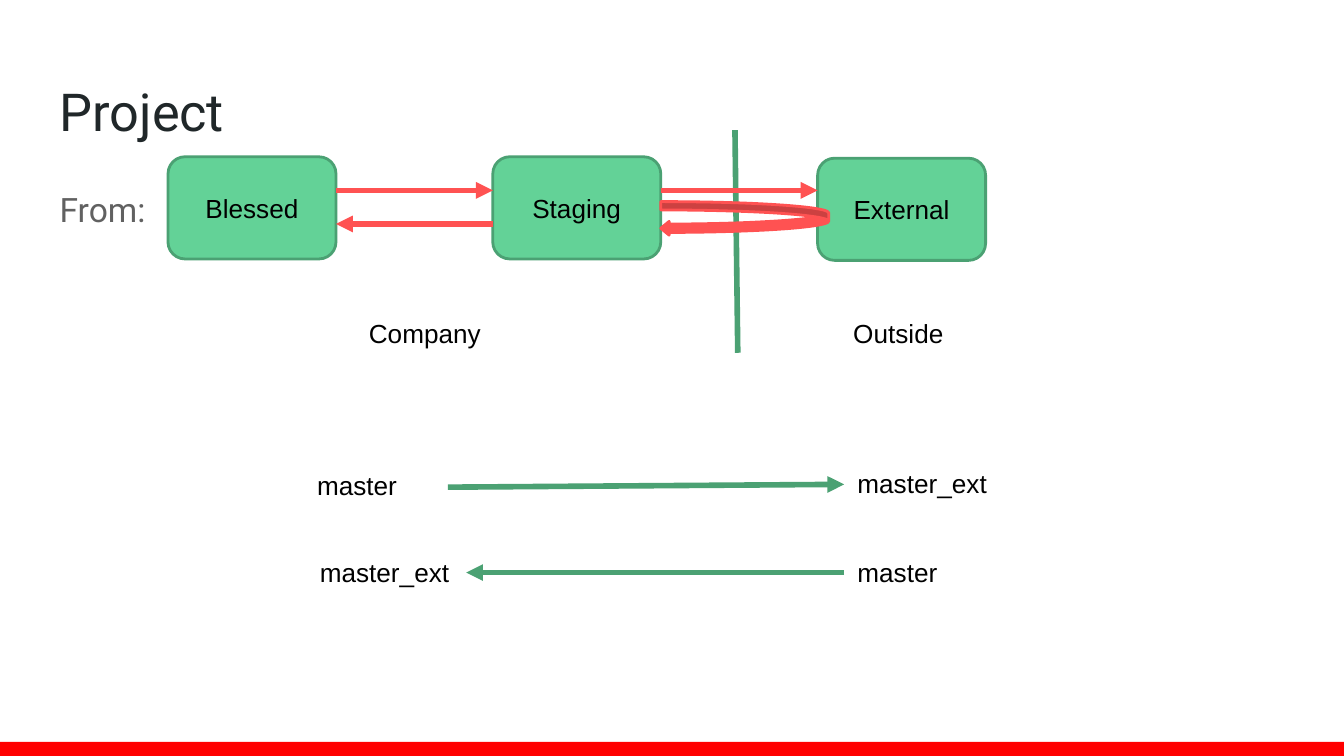
from pptx import Presentation
from pptx.dml.color import RGBColor
from pptx.enum.shapes import MSO_CONNECTOR as Link, MSO_SHAPE as Form
from pptx.enum.text import MSO_ANCHOR as Anchor, MSO_AUTO_SIZE as Fit, PP_ALIGN as Align
from pptx.oxml.ns import qn
from pptx.util import Emu, Pt
from lxml.etree import SubElement as Sub

GREEN, MINT, RED, BLACK = "4BA173", "63D297", "FF5252", "000000"
WIDE, HIGH = 960, 540
BOX_X, BOX_Y, BOX_W, BOX_H, STEP = 120, 112, 120, 73, 232


def px(size):
    return Emu(size * 9525)


def paint(target, code):
    target.rgb = RGBColor.from_string(code)


def write(frame, text, size=14, face="Arial", code=BLACK, align=Align.LEFT, anchor=Anchor.TOP):
    frame.word_wrap = True
    frame.auto_size = Fit.NONE
    frame.vertical_anchor = anchor
    frame.margin_left = frame.margin_right = Pt(7.2)
    frame.margin_top = frame.margin_bottom = Pt(7.2)
    para = frame.paragraphs[0]
    para.alignment = align
    para.space_before = Pt(0)
    run = para.add_run()
    run.text = text
    run.font.size = Pt(size)
    run.font.name = face
    paint(run.font.color, code)
    return para


def place(holder, x, y, w, h):
    holder.left, holder.top, holder.width, holder.height = map(px, (x, y, w, h))


def label(slide, x, y, w, text):
    box = slide.shapes.add_textbox(px(x), px(y), px(w), px(43))
    write(box.text_frame, text)


def block(slide, form, x, y, w, h, fill, edge=None):
    shape = slide.shapes.add_shape(form, px(x), px(y), px(w), px(h))
    shape.shadow.inherit = False
    shape.fill.solid()
    paint(shape.fill.fore_color, fill)
    if edge:
        paint(shape.line.color, edge)
        shape.line.width = Pt(1.5)
    else:
        shape.line.fill.background()
    return shape


def stroke(slide, start, end, code, head=True):
    line = slide.shapes.add_connector(Link.STRAIGHT, *map(px, start + end))
    paint(line.line.color, code)
    line.line.width = Pt(3)
    if head:
        Sub(line.line._get_or_add_ln(), qn("a:tailEnd"), type="triangle")
    Sub(line._element.spPr, qn("a:effectLst"))


def heads(slide):
    title, body = slide.placeholders
    place(title, 33, 47, 895, 60)
    write(title.text_frame, "Project", 28, "Roboto", "202729")
    place(body, 33, 121, 84, 54)
    props = body.text_frame.paragraphs[0]._p.get_or_add_pPr()
    props.set("marL", "0")
    props.set("indent", "0")
    Sub(props, qn("a:buNone"))
    para = write(body.text_frame, "From:", 18, "Roboto", "616161")
    para.line_spacing = 1.15
    para.space_after = Pt(16)


def main():
    deck = Presentation()
    deck.slide_width, deck.slide_height = px(WIDE), px(HIGH)
    slide = deck.slides.add_slide(deck.slide_layouts[1])
    heads(slide)
    block(slide, Form.RECTANGLE, 0, 530, WIDE, 10, "FF0000")
    stroke(slide, (525, 93), (527, 252), GREEN, head=False)

    for i, (name, drop) in enumerate((("Blessed", 0), ("Staging", 0), ("External", 1))):
        box = block(slide, Form.ROUNDED_RECTANGLE, BOX_X + i * STEP, BOX_Y + drop,
                    BOX_W, BOX_H, MINT, GREEN)
        write(box.text_frame, name, align=Align.CENTER, anchor=Anchor.MIDDLE)

    left = BOX_X + BOX_W
    for x in (left, left + STEP):
        stroke(slide, (x, 136), (BOX_X + STEP + x - left, 136), RED)
    curve = block(slide, Form.CURVED_LEFT_ARROW, left + STEP, 144, BOX_W, 24, RED, RED)
    for i, part in enumerate((0.25, 0.41, 0.25)):
        curve.adjustments[i] = part
    stroke(slide, (BOX_X + STEP, 160), (left, 160), RED)

    for x, y, w, text in (
        (254, 217, 111, "Company"),
        (600, 217, 111, "Outside"),
        (217, 326, 102, "master"),
        (603, 324, 114, "master_ext"),
        (603, 388, 114, "master"),
        (219, 388, 114, "master_ext"),
    ):
        label(slide, x, y, w, text)
    stroke(slide, (320, 348), (603, 346), GREEN)
    stroke(slide, (603, 409), (333, 409), GREEN)
    deck.save("out.pptx")


if __name__ == "__main__":
    main()
